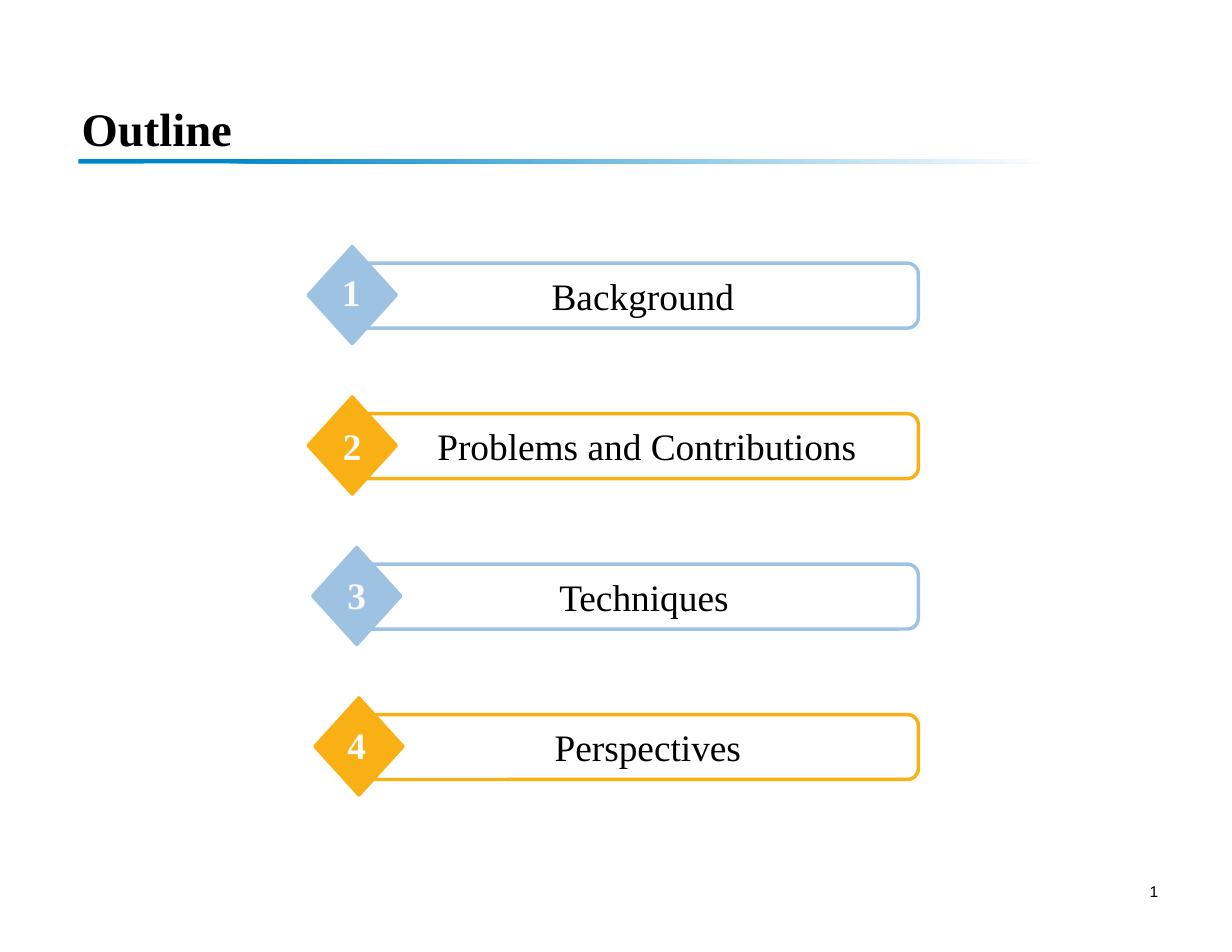
from pptx import Presentation
from pptx.dml.color import RGBColor
from pptx.enum import shapes, text
from pptx.util import Inches, Pt

COLORS = {
    "black": "000000",
    "white": "FFFFFF",
    "number": "F9F9F9",
    "rule": "0087CA",
    "blue": "9EC3E2",
    "orange": "F9B015",
}
SERIF = "Times New Roman"

# Label, colour, diamond left, label left and width, number left and drop
TOPICS = [
    ("Background", "blue", 2.75, 3.77, 3.94, 2.95, 0.15),
    ("Problems and Contributions", "orange", 2.75, 3.69, 4.17, 2.96, 0.19),
    ("Techniques", "blue", 2.79, 3.72, 4.06, 3.0, 0.17),
    ("Perspectives", "orange", 2.81, 3.85, 3.87, 3.0, 0.17),
]
FIRST_TOP, LAST_TOP = 2.2, 6.23
BAR_RIGHT = 8.2


def rgb(name):
    return RGBColor.from_string(COLORS[name])


def add_text(parent, box, words, size, color="black", font=SERIF, bold=False,
             align=text.PP_ALIGN.CENTER, wrap=True, insets=(0.1, 0.05, 0.1, 0.05),
             anchor=text.MSO_ANCHOR.TOP):
    frame = parent.add_textbox(*map(Inches, box)).text_frame
    frame.word_wrap = wrap
    frame.vertical_anchor = anchor
    (frame.margin_left, frame.margin_top,
     frame.margin_right, frame.margin_bottom) = map(Inches, insets)
    frame.text = words
    paragraph = frame.paragraphs[0]
    paragraph.alignment = align
    run_font = paragraph.runs[0].font
    run_font.name, run_font.size, run_font.bold = font, Pt(size), bold
    run_font.color.rgb = rgb(color)


def add_outlined(parent, kind, box, color, width, filled):
    shape = parent.add_shape(kind, *map(Inches, box))
    shape.shadow.inherit = False
    if filled:
        shape.fill.solid()
        shape.fill.fore_color.rgb = rgb(color)
    else:
        shape.fill.background()
    shape.line.color.rgb = rgb(color)
    shape.line.width = Pt(width)
    return shape


def add_header(slide, left, top, width):
    add_text(slide.shapes, (left, top, width, 0.35), "Outline", 30, bold=True,
             align=text.PP_ALIGN.LEFT, insets=(0.11, 0.1, 0.11, 0.06))
    # Fading rule under the title
    rule = slide.shapes.add_shape(
        shapes.MSO_SHAPE.ROUNDED_RECTANGLE,
        Inches(left + 0.08), Inches(top + 0.63), Inches(8.66), Inches(0.04))
    rule.shadow.inherit = False
    rule.line.fill.background()
    rule.fill.gradient()
    rule.fill.gradient_angle = 0
    for stop, position, color in zip(rule.fill.gradient_stops, (0.15, 1), ("rule", "white")):
        stop.position = position
        stop.color.rgb = rgb(color)


def add_topic(slide, top, number, topic):
    label, color, left, label_left, label_width, number_left, number_drop = topic
    group = slide.shapes.add_group_shape().shapes
    # Bar starts behind the diamond and ends at the shared right edge
    bar_left = left + 0.44
    bar = add_outlined(group, shapes.MSO_SHAPE.ROUNDED_RECTANGLE,
                       (bar_left, top + 0.15, BAR_RIGHT - bar_left, 0.58),
                       color, 2.25, filled=False)
    bar.adjustments[0] = 0.17
    add_outlined(group, shapes.MSO_SHAPE.DIAMOND, (left, top, 0.79, 0.87),
                 color, 2, filled=True)
    add_text(group, (label_left, top + 0.19, label_width, 0.5), label, 24)
    add_text(group, (number_left, top + number_drop, 0.37, 0.5), str(number), 24,
             color="number", bold=True, wrap=False)


def add_page_number(slide, left, top):
    add_text(slide.shapes, (left, top, 0.59, 0.28), "1", 10, font="Arial",
             align=text.PP_ALIGN.RIGHT, insets=(0.08, 0.02, 0.08, 0.02),
             anchor=text.MSO_ANCHOR.MIDDLE)


def main():
    deck = Presentation()
    deck.slide_width, deck.slide_height = Inches(11), Inches(8.5)
    slide = deck.slides.add_slide(deck.slide_layouts[6])

    add_page_number(slide, 9.83, 7.82)
    add_header(slide, 0.62, 0.79, 9.84)
    pitch = (LAST_TOP - FIRST_TOP) / (len(TOPICS) - 1)
    for index, topic in enumerate(TOPICS):
        add_topic(slide, FIRST_TOP + index * pitch, index + 1, topic)

    deck.save("out.pptx")


if __name__ == "__main__":
    main()
